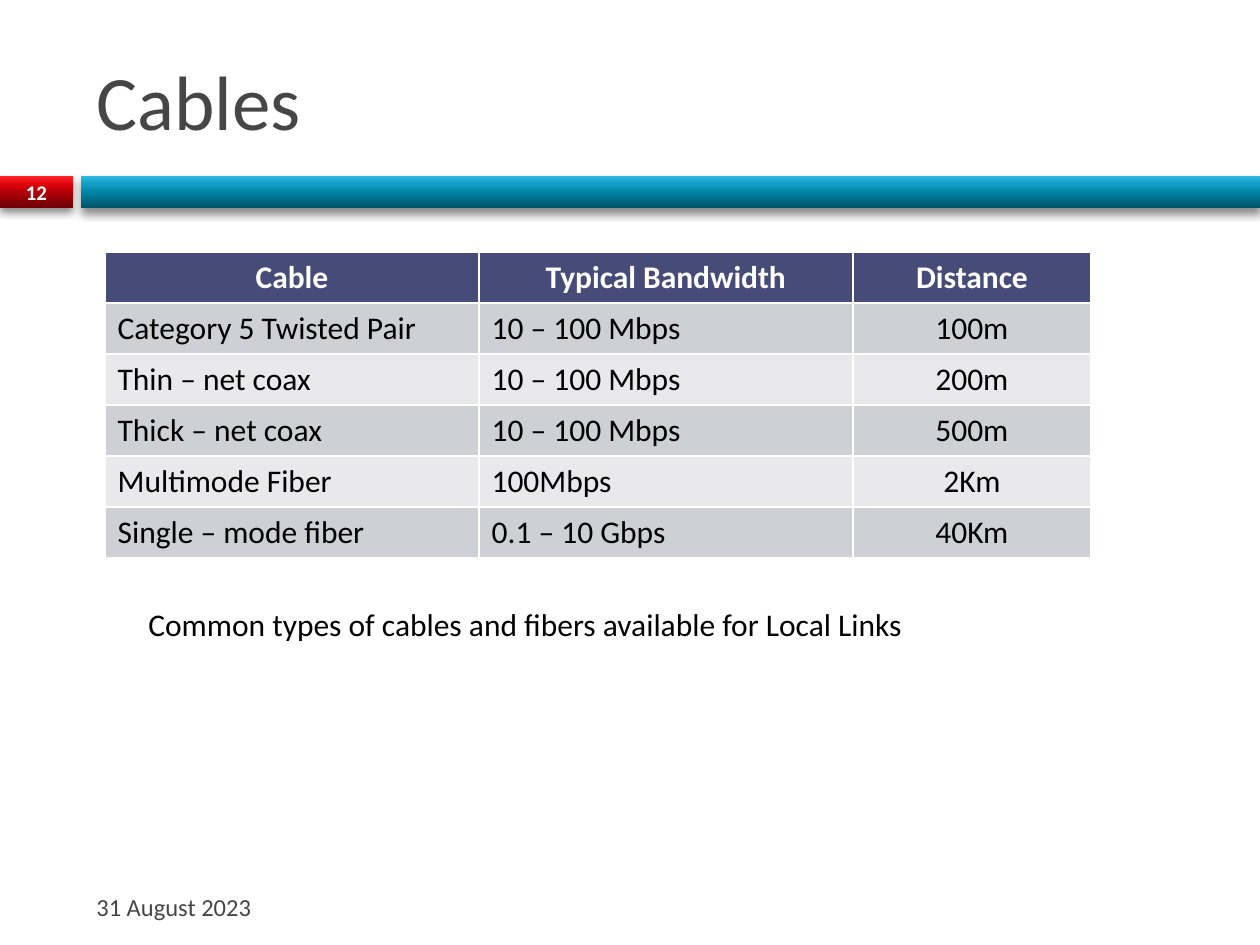
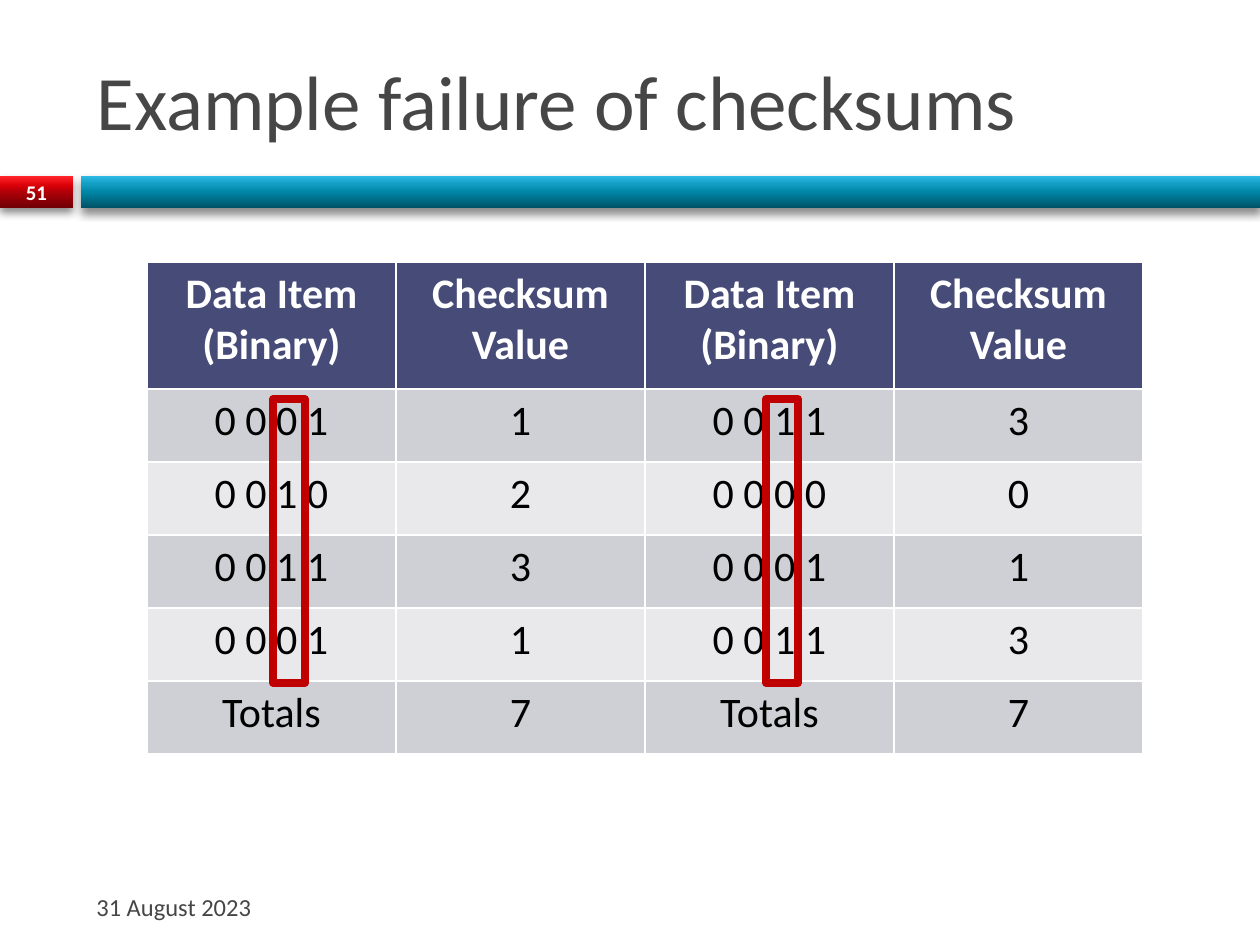
from dataclasses import dataclass

from pptx import Presentation
from pptx.dml.color import RGBColor
from pptx.enum.shapes import MSO_SHAPE
from pptx.enum.text import MSO_ANCHOR, PP_ALIGN
from pptx.oxml import parse_xml
from pptx.oxml.ns import nsdecls
from pptx.slide import Slide
from pptx.text.text import TextFrame
from pptx.util import Pt

RECTANGLE = MSO_SHAPE.RECTANGLE
LEFT, CENTER = PP_ALIGN.LEFT, PP_ALIGN.CENTER
TOP, MIDDLE = MSO_ANCHOR.TOP, MSO_ANCHOR.MIDDLE

PX_PER_INCH = 126
EMU_PER_PX = 914400 / PX_PER_INCH
TITLE_ONLY = 5


@dataclass(frozen=True)
class Theme:
    font: str = "Calibri"
    heading: str = "464646"
    body: str = "000000"
    white: str = "FFFFFF"
    header_fill: str = "474B78"
    row_fills: tuple[str, ...] = ("CFD0D6", "E9E9EC")
    highlight: str = "C00000"
    red_stops: tuple[str, ...] = ("6D0005", "B00008", "DA0008", "FF2429")
    blue_stops: tuple[str, ...] = ("005367", "0086A7", "0E9ABE", "2CB9E3")
    stop_positions: tuple[int, ...] = (0, 50, 70, 100)
    title_size: float = 44
    caption_size: float = 18
    date_size: float = 14
    number_size: float = 11.9
    highlight_width: float = 4.33


THEME = Theme()


@dataclass(frozen=True)
class Box:
    left: int
    top: int
    width: int
    height: int

    def emu(self) -> tuple[int, int, int, int]:
        return px(self.left), px(self.top), px(self.width), px(self.height)


@dataclass(frozen=True)
class TextStyle:
    size: float
    color: str = THEME.body
    bold: bool = False
    align: PP_ALIGN = LEFT
    anchor: MSO_ANCHOR = TOP


@dataclass(frozen=True)
class TableSpec:
    left: int
    top: int
    column_widths: tuple[int, ...]
    header_height: int
    row_height: int
    size: float
    column_aligns: tuple[PP_ALIGN, ...]
    rows: tuple[tuple[str, ...], ...]


TITLE_BOX = Box(84, 32, 1124, 136)
NUMBER_BAND = Box(0, 176, 73, 32)
TITLE_BAND = Box(81, 176, 1179, 32)
DATE_BOX = Box(84, 882, 368, 50)
CAPTION_BOX = Box(136, 599, 882, 50)
BIT_FRAMES = (Box(766, 399, 32, 284), Box(273, 399, 32, 284))

TITLE_STYLE = TextStyle(THEME.title_size, THEME.heading, anchor=MIDDLE)
DATE_STYLE = TextStyle(THEME.date_size, THEME.heading, anchor=MIDDLE)
NUMBER_STYLE = TextStyle(THEME.number_size, THEME.white, True, CENTER, MIDDLE)
CAPTION_STYLE = TextStyle(THEME.caption_size)

CABLES = TableSpec(
    left=105, top=252, column_widths=(374, 374, 238),
    header_height=51, row_height=51, size=18,
    column_aligns=(LEFT, LEFT, CENTER),
    rows=(
        ("Cable", "Typical Bandwidth", "Distance"),
        ("Category 5 Twisted Pair", "10 – 100 Mbps", "100m"),
        ("Thin – net coax", "10 – 100 Mbps", "200m"),
        ("Thick – net coax", "10 – 100 Mbps", "500m"),
        ("Multimode Fiber", "100Mbps", "2Km"),
        ("Single – mode fiber", "0.1 – 10 Gbps", "40Km"),
    ),
)
CHECKSUMS = TableSpec(
    left=147, top=262, column_widths=(249,) * 4,
    header_height=127, row_height=73, size=24,
    column_aligns=(CENTER,) * 4,
    rows=(
        ("Data Item\n(Binary)", "Checksum Value") * 2,
        ("0 0 0 1", "1", "0 0 1 1", "3"),
        ("0 0 1 0", "2", "0 0 0 0", "0"),
        ("0 0 1 1", "3", "0 0 0 1", "1"),
        ("0 0 0 1", "1", "0 0 1 1", "3"),
        ("Totals", "7") * 2,
    ),
)


def px(length: int) -> int:
    return round(length * EMU_PER_PX)


def rgb(color: str) -> RGBColor:
    return RGBColor.from_string(color)


def write_text(frame: TextFrame, text: str, style: TextStyle) -> None:
    frame.text = text
    for paragraph in frame.paragraphs:
        paragraph.alignment = style.align
        font = paragraph.font
        font.name = THEME.font
        font.size = Pt(style.size)
        font.bold = style.bold
        font.color.rgb = rgb(style.color)


def add_text(slide: Slide, box: Box, text: str, style: TextStyle) -> None:
    frame = slide.shapes.add_textbox(*box.emu()).text_frame
    frame.word_wrap = True
    frame.vertical_anchor = style.anchor
    write_text(frame, text, style)


def add_band(slide: Slide, box: Box, colors: tuple[str, ...]) -> None:
    """Draw a bar shaded from bottom to top, with a soft shadow below it."""
    band = slide.shapes.add_shape(RECTANGLE, *box.emu())
    stops = "".join(
        f'<a:gs pos="{position * 1000}"><a:srgbClr val="{color}"/></a:gs>'
        for position, color in zip(THEME.stop_positions, colors)
    )
    properties = band._element.spPr
    properties.append(parse_xml(
        f'<a:gradFill {nsdecls("a")}><a:gsLst>{stops}</a:gsLst>'
        '<a:lin ang="16200000" scaled="0"/></a:gradFill>'
    ))
    band.line.fill.background()
    properties.append(parse_xml(
        f'<a:effectLst {nsdecls("a")}>'
        f'<a:outerShdw blurRad="{Pt(5)}" dist="{Pt(3)}" dir="5400000" rotWithShape="0">'
        '<a:srgbClr val="000000"><a:alpha val="45000"/></a:srgbClr>'
        '</a:outerShdw></a:effectLst>'
    ))


def add_titled_slide(deck: Presentation, title: str, number: int) -> Slide:
    slide = deck.slides.add_slide(deck.slide_layouts[TITLE_ONLY])
    heading = slide.shapes.title
    heading.left, heading.top, heading.width, heading.height = TITLE_BOX.emu()
    heading.text_frame.vertical_anchor = TITLE_STYLE.anchor
    write_text(heading.text_frame, title, TITLE_STYLE)
    add_band(slide, NUMBER_BAND, THEME.red_stops)
    add_band(slide, TITLE_BAND, THEME.blue_stops)
    add_text(slide, DATE_BOX, "31 August 2023", DATE_STYLE)
    add_text(slide, NUMBER_BAND, str(number), NUMBER_STYLE)
    return slide


def add_data_table(slide: Slide, spec: TableSpec) -> None:
    """Draw a table with a dark header; its white rules come from the table style."""
    body_count = len(spec.rows) - 1
    box = Box(spec.left, spec.top, sum(spec.column_widths),
              spec.header_height + body_count * spec.row_height)
    table = slide.shapes.add_table(
        len(spec.rows), len(spec.column_widths), *box.emu()).table
    for column, width in zip(table.columns, spec.column_widths):
        column.width = px(width)
    for index, texts in enumerate(spec.rows):
        is_header = index == 0
        table.rows[index].height = px(spec.header_height if is_header else spec.row_height)
        fill = THEME.header_fill if is_header else THEME.row_fills[(index - 1) % 2]
        for cell, text, align in zip(table.rows[index].cells, texts, spec.column_aligns):
            cell.fill.solid()
            cell.fill.fore_color.rgb = rgb(fill)
            style = (TextStyle(spec.size, THEME.white, True, CENTER) if is_header
                     else TextStyle(spec.size, align=align))
            write_text(cell.text_frame, text, style)


def add_bit_frame(slide: Slide, box: Box) -> None:
    """Outline the bit position that differs between the data items."""
    outline = slide.shapes.add_shape(RECTANGLE, *box.emu())
    outline.shadow.inherit = False
    outline.fill.background()
    outline.line.color.rgb = rgb(THEME.highlight)
    outline.line.width = Pt(THEME.highlight_width)


def main() -> None:
    deck = Presentation()
    deck.slide_width, deck.slide_height = px(1260), px(945)

    cables = add_titled_slide(deck, "Cables", 12)
    add_data_table(cables, CABLES)
    add_text(cables, CAPTION_BOX,
             "Common types of cables and fibers available for Local Links", CAPTION_STYLE)

    checksums = add_titled_slide(deck, "Example failure of checksums", 51)
    add_data_table(checksums, CHECKSUMS)
    for bit_frame in BIT_FRAMES:
        add_bit_frame(checksums, bit_frame)

    deck.save("out.pptx")


if __name__ == "__main__":
    main()
